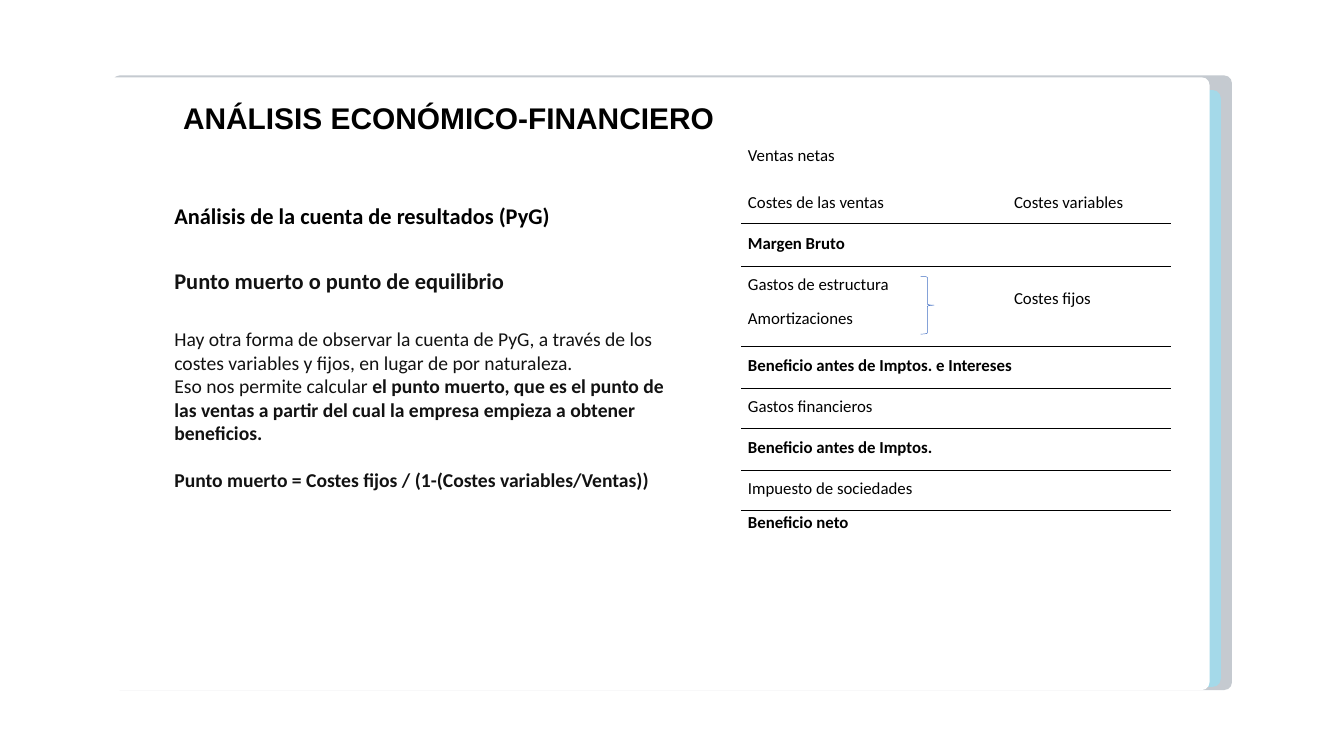
from dataclasses import dataclass
from lxml.etree import SubElement
from pptx import Presentation
from pptx.dml.color import RGBColor
from pptx.enum.shapes import MSO_SHAPE
from pptx.enum.text import MSO_ANCHOR, MSO_AUTO_SIZE, PP_ALIGN
from pptx.oxml import parse_xml
from pptx.oxml.ns import nsdecls, qn
from pptx.util import Pt


@dataclass(frozen=True)
class Theme:
    black: str = "000000"
    ink: str = "121212"
    navy: str = "182C45"
    sky: str = "A4D9E9"
    white: str = "FFFFFF"
    blue: str = "4471C4"
    head: str = "Arial"
    text: str = "Calibri"
    title: int = 32
    sub: int = 24
    body: int = 21
    cell: int = 18


class Deck:
    def __init__(self, theme):
        self.theme = theme
        self.file = Presentation()
        self.file.slide_width = Pt(1440)
        self.file.slide_height = Pt(810)
        self.slide = self.file.slides.add_slide(self.file.slide_layouts[5])
        self.shapes = self.slide.shapes

    def box(self, x, y, w, h):
        return Pt(x), Pt(y), Pt(w), Pt(h)

    def run(self, para, text, size, bold=False, color=None, face=None):
        run = para.add_run()
        run.text = text
        font = run.font
        font.size = Pt(size)
        font.bold = bold
        font.name = face or self.theme.text
        font.color.rgb = RGBColor.from_string(color or self.theme.black)

    def frame(self, frame, left=1, top=1.5):
        frame.margin_left, frame.margin_top = Pt(left), Pt(top)
        frame.margin_right = frame.margin_bottom = 0
        frame.word_wrap = True
        frame.auto_size = MSO_AUTO_SIZE.NONE
        frame.vertical_anchor = MSO_ANCHOR.TOP

    def panel(self, x, y, w, h, color, alpha=None):
        shape = self.shapes.add_shape(MSO_SHAPE.ROUNDED_RECTANGLE, *self.box(x, y, w, h))
        shape.shadow.inherit = False
        shape.adjustments[0] = 8.5 / h
        shape.fill.solid()
        shape.fill.fore_color.rgb = RGBColor.from_string(color)
        shape.line.fill.background()
        if alpha:
            tint = shape.fill._xPr.find(".//" + qn("a:srgbClr"))
            SubElement(tint, qn("a:alpha")).set("val", str(alpha * 1000))

    def title(self, text, x, y, w, h):
        shape = self.shapes.title
        self.shapes._spTree.append(shape._element)
        shape.left, shape.top, shape.width, shape.height = self.box(x, y, w, h)
        self.frame(shape.text_frame)
        para = shape.text_frame.paragraphs[0]
        para.alignment = PP_ALIGN.LEFT
        self.run(para, text, self.theme.title, True, self.theme.black, self.theme.head)

    def text(self, x, y, w, h, paras):
        frame = self.shapes.add_textbox(*self.box(x, y, w, h)).text_frame
        self.frame(frame)
        for i, (gap, size, color, runs) in enumerate(paras):
            para = frame.add_paragraph() if i else frame.paragraphs[0]
            if gap:
                para.space_before = Pt(gap)
            for text, bold in runs:
                self.run(para, text, size, bold, color)

    def rule(self, cell):
        cell._tc.get_or_add_tcPr().insert(0, parse_xml(
            f'<a:lnB {nsdecls("a")} w="12700"><a:solidFill>'
            f'<a:srgbClr val="{self.theme.black}"/></a:solidFill></a:lnB>'))

    def table(self, x, y, cols, rows):
        high = sum(row[0] for row in rows)
        shape = self.shapes.add_table(len(rows), len(cols), *self.box(x, y, sum(cols), high))
        table = shape.table
        table.first_row = table.horz_banding = False
        style = table._tbl.tblPr.find(qn("a:tableStyleId"))
        style.text = "{2D5ABB26-0587-4C30-8999-92F81FD0307C}"
        for col, wide in zip(table.columns, cols):
            col.width = Pt(wide)
        for r, (high, top, line, ruled, bold, texts) in enumerate(rows):
            table.rows[r].height = Pt(high)
            for c, (text, left) in enumerate(zip(texts, (7.2, 51.8))):
                cell = table.cell(r, c)
                if ruled:
                    self.rule(cell)
                cell.fill.background()
                cell.margin_left, cell.margin_top = Pt(left), Pt(top)
                cell.margin_right = cell.margin_bottom = 0
                para = cell.text_frame.paragraphs[0]
                if line or not text:
                    para.line_spacing = Pt(line or 12)
                if text:
                    self.run(para, text, self.theme.cell, bold)
        return table

    def brace(self, x, y, w, h):
        shape = self.shapes.add_shape(MSO_SHAPE.RIGHT_BRACE, *self.box(x, y, w, h))
        shape.shadow.inherit = False
        shape.fill.background()
        shape.line.color.rgb = RGBColor.from_string(self.theme.blue)
        shape.line.width = Pt(0.5)


def main():
    look = Theme()
    deck = Deck(look)
    deck.panel(120, 80.8, 1200, 658.6, look.navy, 25)
    deck.panel(120, 96.5, 1188, 639.4, look.sky)
    deck.panel(93.6, 82.8, 1202.4, 656.6, look.white)
    deck.title("ANÁLISIS ECONÓMICO-FINANCIERO", 195.1, 105.1, 1000, 40)
    deck.text(185.8, 215.3, 527, 314, [
        (0, look.sub, look.black, [("Análisis de la cuenta de resultados (PyG)", True)]),
        (40.9, look.sub, look.ink, [("Punto muerto o punto de equilibrio", True)]),
        (35.1, look.body, look.ink, [
            ("Hay otra forma de observar la cuenta de PyG, a través de los costes "
             "variables y fijos, en lugar de por naturaleza.", False)]),
        (0, look.body, look.ink, [
            ("Eso nos permite calcular ", False),
            ("el punto muerto, que es el punto de las ventas a partir del cual la "
             "empresa empieza a obtener beneficios.", True)]),
        (25.2, look.body, look.ink, [
            ("Punto muerto = Costes fijos / (1-(Costes variables/Ventas))", True)]),
    ])
    table = deck.table(794.2, 166.3, (240.5, 219.6), [
        (31, 0, 11.4, False, False, ("Ventas netas", "")),
        (42.5, 8.6, 0, True, False, ("Costes de las ventas", "Costes variables")),
        (45.4, 10, 0, True, True, ("Margen Bruto", "")),
        (33.1, 8.6, 0, False, False, ("Gastos de estructura", "")),
        (21.6, 0, 12.7, False, False, ("", "Costes fijos")),
        (31, 0, 12.7, True, False, ("Amortizaciones", "")),
        (45.4, 10, 0, True, True, ("Beneficio antes de Imptos. e Intereses", "")),
        (42.5, 8.6, 0, True, False, ("Gastos financieros", "")),
        (45.4, 10, 0, True, True, ("Beneficio antes de Imptos.", "")),
        (42.5, 8.6, 0, True, False, ("Impuesto de sociedades", "")),
        (32.4, 10, 14, False, True, ("Beneficio neto", "")),
    ])
    table.cell(6, 0).merge(table.cell(6, 1))
    deck.brace(986.4, 296, 14.4, 62)
    deck.file.save("out.pptx")


if __name__ == "__main__":
    main()
